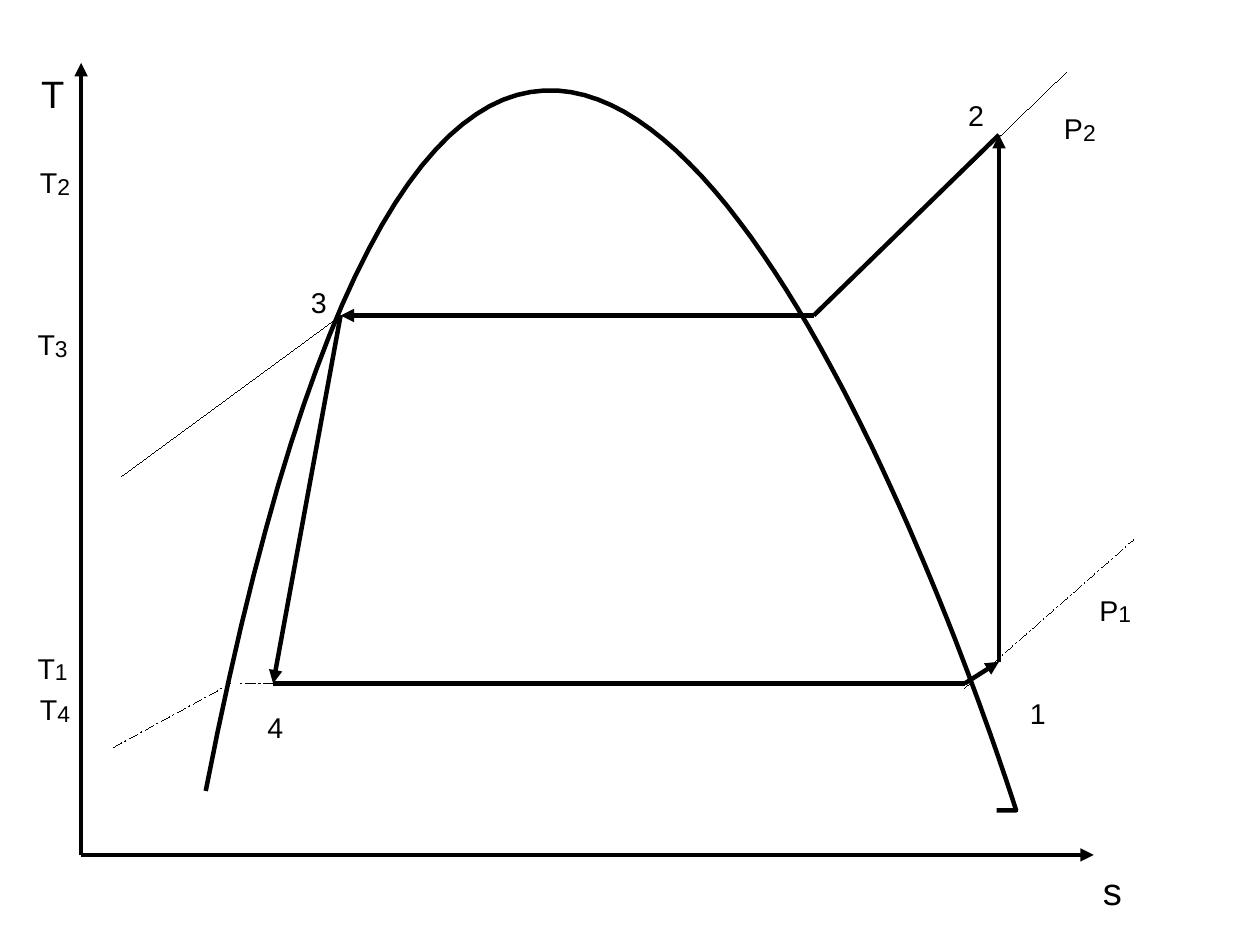
"""Build a temperature-entropy diagram of a vapour compression cycle."""
from dataclasses import dataclass
from typing import Optional

from lxml.etree import SubElement
from pptx import Presentation
from pptx.dml.color import RGBColor
from pptx.enum.dml import MSO_LINE_DASH_STYLE as Dash
from pptx.enum.shapes import MSO_CONNECTOR_TYPE as Connector
from pptx.enum.text import MSO_AUTO_SIZE as AutoSize
from pptx.oxml.ns import qn
from pptx.slide import Slide
from pptx.util import Inches, Pt

Point = tuple[float, float]


@dataclass(frozen=True)
class Theme:
    """Colours, font, type sizes and line widths."""
    ink: RGBColor = RGBColor(0, 0, 0)
    font: str = "Arial"
    axis_size: float = 24
    label_size: float = 18
    subscript_size: float = 24.8
    subscript_baseline: int = -4000
    heavy: float = 2.83
    hairline: float = 0.01


THEME = Theme()


@dataclass(frozen=True)
class Segment:
    """A straight line from start to end, with an optional arrow at its end."""
    start: Point
    end: Point
    width: float = THEME.heavy
    arrow: bool = False
    dash: Optional[Dash] = None


@dataclass(frozen=True)
class Label:
    """A short text with an optional subscript."""
    text: str
    left: float
    top: float
    width: float = 0.38
    height: float = 0.42
    subscript: str = ""
    size: float = THEME.label_size
    wrap: bool = False


CM_PER_INCH = 2.54
ORIGIN = (0.71, 7.48)
STATE_1 = (8.74, 5.79)
STATE_2 = (8.74, 1.18)
STATE_3 = (2.98, 2.76)
STATE_4 = (2.39, 5.98)
CONDENSING_START = (7.12, 2.76)
EVAPORATING_END = (8.44, 5.98)

AXES = [
    Segment(ORIGIN, (0.71, 0.55), arrow=True),
    Segment(ORIGIN, (9.57, 7.48), arrow=True),
]
ISOBARS = [
    Segment(STATE_3, (1.06, 4.17), THEME.hairline),
    Segment(STATE_3, CONDENSING_START, THEME.hairline),
    Segment(CONDENSING_START, (9.33, 0.63), THEME.hairline),
    Segment((0.99, 6.54), (2.02, 5.98), THEME.hairline, dash=Dash.LONG_DASH_DOT),
    Segment(EVAPORATING_END, (2.1, 5.98), THEME.hairline, dash=Dash.LONG_DASH_DOT),
    Segment((8.44, 6.02), (9.92, 4.72), THEME.hairline, dash=Dash.LONG_DASH_DOT),
]
CYCLE = [
    Segment(STATE_1, STATE_2, arrow=True),
    Segment(STATE_2, CONDENSING_START),
    Segment(CONDENSING_START, STATE_3, arrow=True),
    Segment(STATE_3, STATE_4, arrow=True),
    Segment(EVAPORATING_END, STATE_1, arrow=True),
    Segment(STATE_4, EVAPORATING_END),
]
DOME_CONTROLS = [(1.8, 6.92), (4.5, -6.97), (8.89, 7.09), (8.89, 7.09)]
DOME_FOOT = (8.72, 7.09)
DOME_STEPS = 80
UNITS_PER_INCH = 1000

LABELS = [
    Label("T", 0.24, 0.55, 0.44, 0.51, size=THEME.axis_size),
    Label("s", 9.53, 7.52, 0.4, 0.51, size=THEME.axis_size),
    Label("1", 8.89, 6.02),
    Label("2", 8.35, 0.79),
    Label("4", 2.22, 6.14, wrap=True),
    Label("3", 2.6, 2.42),
    Label("P", 9.52, 5.04, 0.48, subscript="1"),
    Label("P", 9.21, 0.83, 0.48, subscript="2"),
    Label("T", 0.23, 5.55, 0.48, subscript="1"),
    Label("T", 0.25, 5.91, 0.48, subscript="4"),
    Label("T", 0.23, 2.72, 0.48, subscript="3"),
    Label("T", 0.25, 1.3, 0.48, subscript="2"),
]


def draw_segment(slide: Slide, segment: Segment) -> None:
    """Draw one straight line."""
    ends = [Inches(value) for value in segment.start + segment.end]
    connector = slide.shapes.add_connector(Connector.STRAIGHT, *ends)
    line = connector.line
    line.color.rgb = THEME.ink
    line.width = Pt(segment.width)
    if segment.dash is not None:
        line.dash_style = segment.dash
    properties = connector._element.spPr
    if segment.arrow:
        SubElement(properties.find(qn("a:ln")), qn("a:tailEnd"), type="triangle")
    SubElement(properties, qn("a:effectLst"))


def bezier_point(controls: list[Point], t: float) -> Point:
    """Return the point at t on a cubic curve."""
    weights = ((1 - t) ** 3, 3 * t * (1 - t) ** 2, 3 * t**2 * (1 - t), t**3)
    x, y = (sum(w * c[axis] for w, c in zip(weights, controls)) for axis in (0, 1))
    return x, y


def draw_dome(slide: Slide) -> None:
    """Draw the saturation dome with its short foot."""
    curve = [bezier_point(DOME_CONTROLS, step / DOME_STEPS) for step in range(DOME_STEPS + 1)]
    points = [(x * UNITS_PER_INCH, y * UNITS_PER_INCH) for x, y in curve + [DOME_FOOT]]
    builder = slide.shapes.build_freeform(*points[0], scale=Inches(1) / UNITS_PER_INCH)
    builder.add_line_segments(points[1:], close=False)
    shape = builder.convert_to_shape()
    shape.shadow.inherit = False
    shape.fill.background()
    shape.line.color.rgb = THEME.ink
    shape.line.width = Pt(THEME.heavy)


def draw_label(slide: Slide, label: Label) -> None:
    """Draw one label, with its subscript if it has one."""
    box = slide.shapes.add_textbox(
        Inches(label.left), Inches(label.top), Inches(label.width), Inches(label.height))
    frame = box.text_frame
    frame.word_wrap = label.wrap
    frame.auto_size = AutoSize.SHAPE_TO_FIT_TEXT
    side, edge = (0.1, 0.05) if label.subscript else (0.12, 0.07)
    frame.margin_left = frame.margin_right = Inches(side)
    frame.margin_top = frame.margin_bottom = Inches(edge)
    paragraph = frame.paragraphs[0]
    paragraph.font.name = THEME.font
    paragraph.font.color.rgb = THEME.ink
    paragraph.font.size = Pt(label.size)
    paragraph.add_run().text = label.text
    if label.subscript:
        run = paragraph.add_run()
        run.text = label.subscript
        run.font.size = Pt(THEME.subscript_size)
        run._r.get_or_add_rPr().set("baseline", str(THEME.subscript_baseline))


def main() -> None:
    """Build and save the slide."""
    presentation = Presentation()
    presentation.slide_width = Inches(28 / CM_PER_INCH)
    presentation.slide_height = Inches(21 / CM_PER_INCH)
    slide = presentation.slides.add_slide(presentation.slide_layouts[6])
    for segment in AXES:
        draw_segment(slide, segment)
    draw_dome(slide)
    for segment in ISOBARS + CYCLE:
        draw_segment(slide, segment)
    for label in LABELS:
        draw_label(slide, label)
    presentation.save("out.pptx")


if __name__ == "__main__":
    main()
